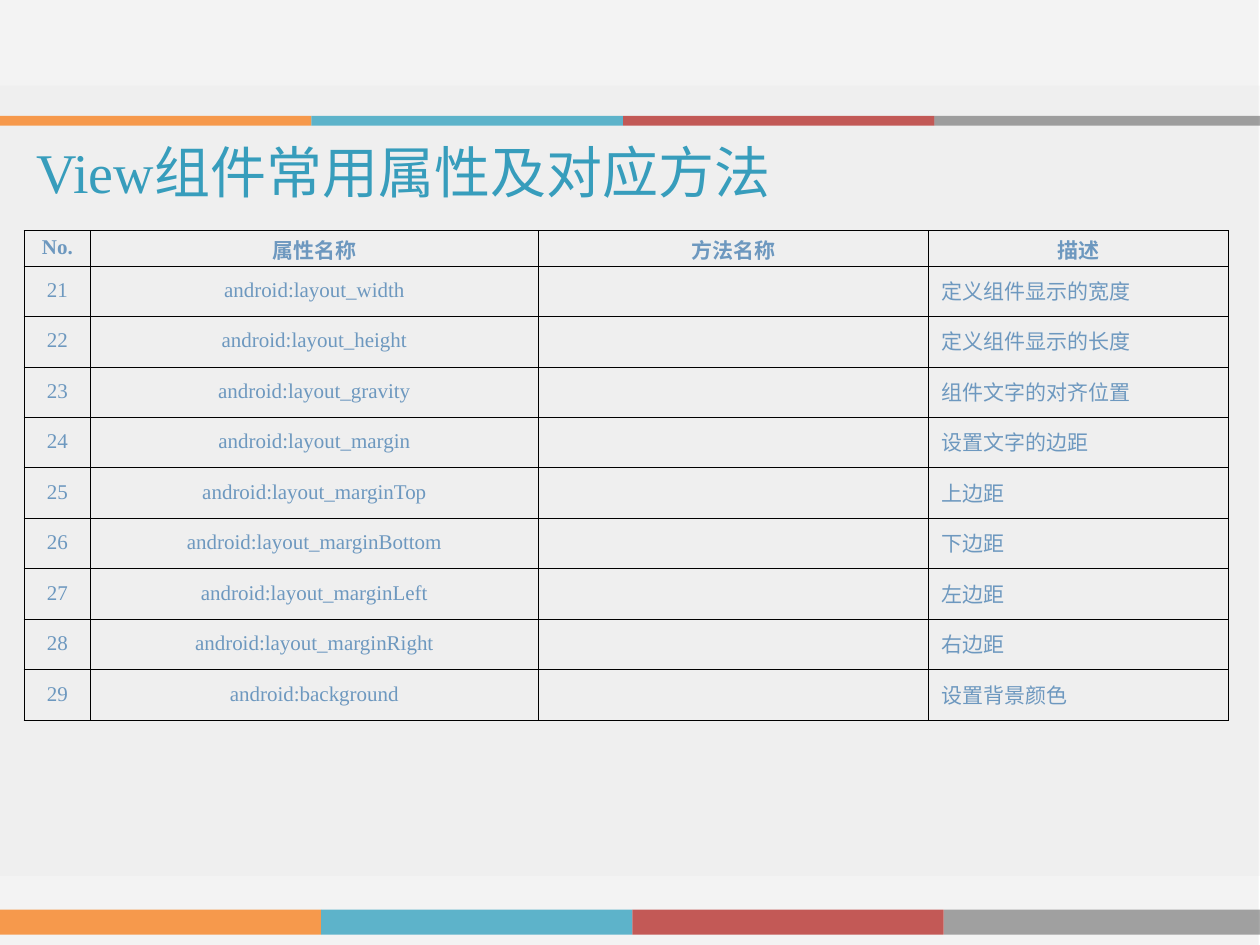
from lxml import etree
from pptx import Presentation
from pptx.dml.color import RGBColor
from pptx.enum.shapes import MSO_SHAPE
from pptx.enum.text import MSO_ANCHOR, PP_ALIGN
from pptx.oxml.ns import qn
from pptx.util import Pt

RECTANGLE = MSO_SHAPE.RECTANGLE
MIDDLE = MSO_ANCHOR.MIDDLE
LEFT, CENTER = PP_ALIGN.LEFT, PP_ALIGN.CENTER

STRIPE_COLORS = (("F79646", 96), ("4BACC6", 89), ("C0504D", 94), ("000000", 34))
HEADINGS = ("No.", "属性名称", "方法名称", "描述")
ATTRIBUTES = (
    ("layout_width", "定义组件显示的宽度"),
    ("layout_height", "定义组件显示的长度"),
    ("layout_gravity", "组件文字的对齐位置"),
    ("layout_margin", "设置文字的边距"),
    ("layout_marginTop", "上边距"),
    ("layout_marginBottom", "下边距"),
    ("layout_marginLeft", "左边距"),
    ("layout_marginRight", "右边距"),
    ("background", "设置背景颜色"),
)


def rgb(value):
    return RGBColor.from_string(value)


class AttributeSlide:
    """Draws the elements of one slide in a shared style."""

    font = "Times New Roman"
    title_color = "379DBC"
    body_color = "6D98BF"
    border_color = "000000"

    def __init__(self, slide):
        self.slide = slide

    def panel(self, left, top, width, height, color, opacity):
        panel = self.slide.shapes.add_shape(
            RECTANGLE, Pt(left), Pt(top), Pt(width), Pt(height))
        panel.shadow.inherit = False
        panel.line.fill.background()
        panel.fill.solid()
        panel.fill.fore_color.rgb = rgb(color)
        tint = panel.fill._xPr.find(".//" + qn("a:srgbClr"))
        etree.SubElement(tint, qn("a:alpha"), val=str(opacity * 1000))

    def stripe(self, top, height, edges):
        for left, right, (color, opacity) in zip(edges, edges[1:], STRIPE_COLORS):
            self.panel(left, top, right - left, height, color, opacity)

    def text_run(self, paragraph, text, size, color, bold=False):
        paragraph.line_spacing = 0.9
        run = paragraph.add_run()
        run.text = text
        run.font.name = self.font
        run.font.size = Pt(size)
        run.font.bold = bold
        run.font.color.rgb = rgb(color)

    def title(self, left, top, width, height, text):
        frame = self.slide.shapes.add_textbox(
            Pt(left), Pt(top), Pt(width), Pt(height)).text_frame
        frame.word_wrap = True
        frame.vertical_anchor = MIDDLE
        self.text_run(frame.paragraphs[0], text, 32, self.title_color)

    def border(self, cell):
        properties = cell._tc.get_or_add_tcPr()
        for position, side in enumerate(("a:lnL", "a:lnR", "a:lnT", "a:lnB")):
            line = etree.Element(qn(side), w=str(Pt(0.45)))
            fill = etree.SubElement(line, qn("a:solidFill"))
            etree.SubElement(fill, qn("a:srgbClr"), val=self.border_color)
            properties.insert(position, line)

    def cell(self, cell, text, alignment, bold):
        cell.fill.background()
        cell.vertical_anchor = MIDDLE
        self.border(cell)
        if text:
            paragraph = cell.text_frame.paragraphs[0]
            paragraph.alignment = alignment
            paragraph.space_before = Pt(18)
            indent = paragraph._p.get_or_add_pPr()
            indent.set("marL", str(Pt(32)))
            indent.set("indent", str(Pt(-32)))
            self.text_run(paragraph, text, 12, self.body_color, bold)

    def table(self, left, top, widths, heights, rows):
        table = self.slide.shapes.add_table(
            len(rows), len(widths), Pt(left), Pt(top),
            Pt(sum(widths)), Pt(sum(heights))).table
        table.first_row = table.horz_banding = False
        for column, width in zip(table.columns, widths):
            column.width = Pt(width)
        for r, (values, height) in enumerate(zip(rows, heights)):
            table.rows[r].height = Pt(height)
            for c, text in enumerate(values):
                alignment = LEFT if r and c == len(widths) - 1 else CENTER
                self.cell(table.cell(r, c), text, alignment, bold=r == 0)


def main():
    deck = Presentation()
    deck.slide_width, deck.slide_height = Pt(720), Pt(540)
    page = AttributeSlide(deck.slides.add_slide(deck.slide_layouts[6]))

    page.panel(-0.7, -1.4, 720, 541.4, "F2F2F2", 89)
    page.panel(0, 49, 723, 451.5, "D8D8D8", 14)
    page.stripe(519.8, 14.4, (0, 183.5, 361.4, 539.3, 720))
    page.stripe(66.2, 5.6, (0, 178, 356, 534, 720))

    page.title(13.7, 69, 689, 62, "View组件常用属性及对应方法")
    rows = [HEADINGS] + [
        (str(number), "android:" + attribute, "", description)
        for number, (attribute, description) in enumerate(ATTRIBUTES, 21)]
    heights = [20.2] + [21.6] * len(ATTRIBUTES)
    page.table(13.7, 131.8, (38.2, 255.6, 223.2, 171.4), heights, rows)

    deck.save("out.pptx")


if __name__ == "__main__":
    main()
